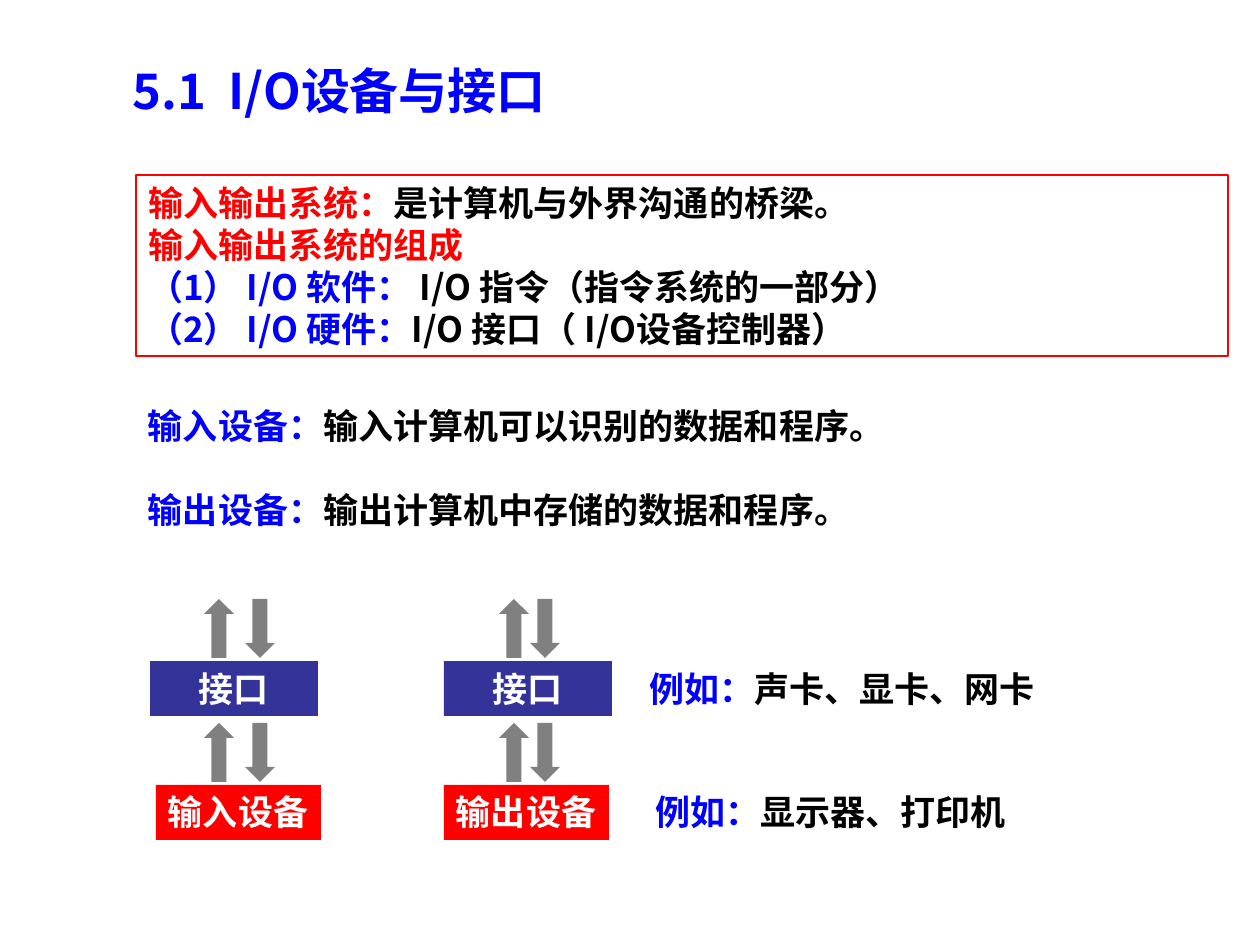
from lxml import etree
from pptx import Presentation
from pptx.dml.color import RGBColor
from pptx.enum.shapes import MSO_SHAPE
from pptx.enum.text import MSO_ANCHOR, MSO_AUTO_SIZE, PP_ALIGN
from pptx.oxml.ns import qn
from pptx.util import Pt

RECT, UP, DOWN = MSO_SHAPE.RECTANGLE, MSO_SHAPE.UP_ARROW, MSO_SHAPE.DOWN_ARROW
LEFT, CENTER, RIGHT = PP_ALIGN.LEFT, PP_ALIGN.CENTER, PP_ALIGN.RIGHT
TOP = MSO_ANCHOR.TOP
FIXED, GROW = MSO_AUTO_SIZE.NONE, MSO_AUTO_SIZE.SHAPE_TO_FIT_TEXT
BLUE = RGBColor(0x00, 0x00, 0xFF)
RED = RGBColor(0xFF, 0x00, 0x00)
BLACK = RGBColor(0x00, 0x00, 0x00)
WHITE = RGBColor(0xFF, 0xFF, 0xFF)
NAVY = RGBColor(0x33, 0x33, 0x99)
GRAY = RGBColor(0x80, 0x80, 0x80)
FONT = "Noto Sans CJK SC"
PX = 914400 // 126

prs = Presentation()
prs.slide_width, prs.slide_height = 1260 * PX, 945 * PX
s = prs.slides.add_slide(prs.slide_layouts[6])


def add_shape(kind, x, y, w, h, fill=None, line=None):
    sp = s.shapes.add_shape(kind, x * PX, y * PX, w * PX, h * PX)
    sp.shadow.inherit = False
    if fill is None:
        sp.fill.background()
    else:
        sp.fill.solid()
        sp.fill.fore_color.rgb = fill
    if line is None:
        sp.line.fill.background()
    else:
        sp.line.color.rgb = line
        sp.line.width = Pt(0.75)
    return sp


def write(sp, paragraphs, size=20, pitch=24, gap=0, align=LEFT, wrap=True):
    tf = sp.text_frame
    frame_format = {"auto_size": FIXED if wrap else GROW,
                    "word_wrap": wrap, "vertical_anchor": TOP,
                    "margin_left": 12 * PX, "margin_right": 12 * PX,
                    "margin_top": 6 * PX, "margin_bottom": 6 * PX}
    for name, value in frame_format.items():
        setattr(tf, name, value)
    for i, runs in enumerate(paragraphs):
        p = tf.add_paragraph() if i else tf.paragraphs[0]
        p.alignment = align
        p.line_spacing = Pt(pitch)
        if i and gap:
            p.space_before = Pt(gap)
        for text, color in runs:
            r = p.add_run()
            r.text = text
            for name, value in {"size": Pt(size), "bold": True, "name": FONT}.items():
                setattr(r.font, name, value)
            r.font.color.rgb = color
            etree.SubElement(r.font._element, qn("a:ea"), typeface=FONT)


# Title
sp = s.shapes.add_textbox(121 * PX, 54 * PX, 677 * PX, 72 * PX)
write(sp, [[("5.1  I/O设备与接口", BLUE)]], size=28, pitch=34)

# Framed definition
sp = add_shape(RECT, 136, 175, 1092, 181, line=RED)
write(sp, [
    [("输入输出系统：", RED), ("是计算机与外界沟通的桥梁。", BLACK)],
    [("输入输出系统的组成", RED)],
    [("（1） I/O 软件： ", BLUE), ("I/O 指令（指令系统的一部分）", BLACK)],
    [("（2） I/O 硬件：", BLUE), ("I/O 接口（ I/O设备控制器）", BLACK)],
])

# Input and output devices
sp = s.shapes.add_textbox(136 * PX, 399 * PX, 1102 * PX, 139 * PX)
write(sp, [
    [("输入设备：", BLUE), ("输入计算机可以识别的数据和程序。", BLACK)],
    [("输出设备：", BLUE), ("输出计算机中存储的数据和程序。", BLACK)],
], gap=24)

# Interface and device stacks with their arrow pairs
STACKS = [("输入设备", 150, 156, 204, 245), ("输出设备", 444, 444, 499, 530)]
for device, interface_x, device_x, up_x, down_x in STACKS:
    sp = add_shape(RECT, interface_x, 661, 168, 55, NAVY)
    write(sp, [[("接口", WHITE)]], align=CENTER)
    sp = add_shape(RECT, device_x, 785, 165, 55, RED)
    write(sp, [[(device, WHITE)]], wrap=False)
    for y in (599, 723):
        add_shape(UP, up_x, y, 30, 59, GRAY)
        add_shape(DOWN, down_x, y, 30, 59, GRAY)

# Examples
EXAMPLES = [("声卡、显卡、网卡", 636, 661, 411), ("显示器、打印机", 643, 785, 375)]
for text, x, y, w in EXAMPLES:
    sp = s.shapes.add_textbox(x * PX, y * PX, w * PX, 55 * PX)
    write(sp, [[("例如：", BLUE), (text, BLACK)]], align=RIGHT, wrap=False)

prs.save("out.pptx")
